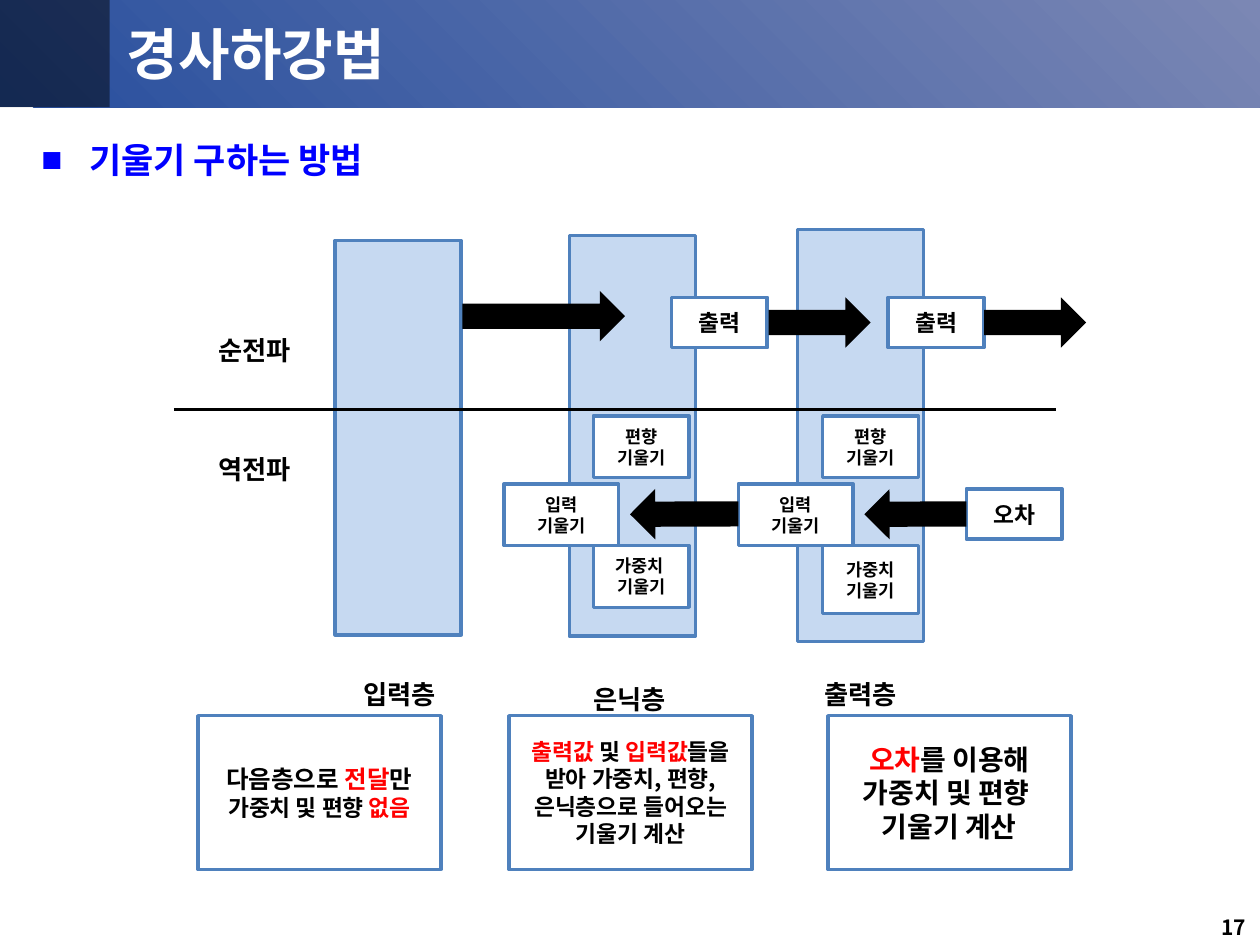
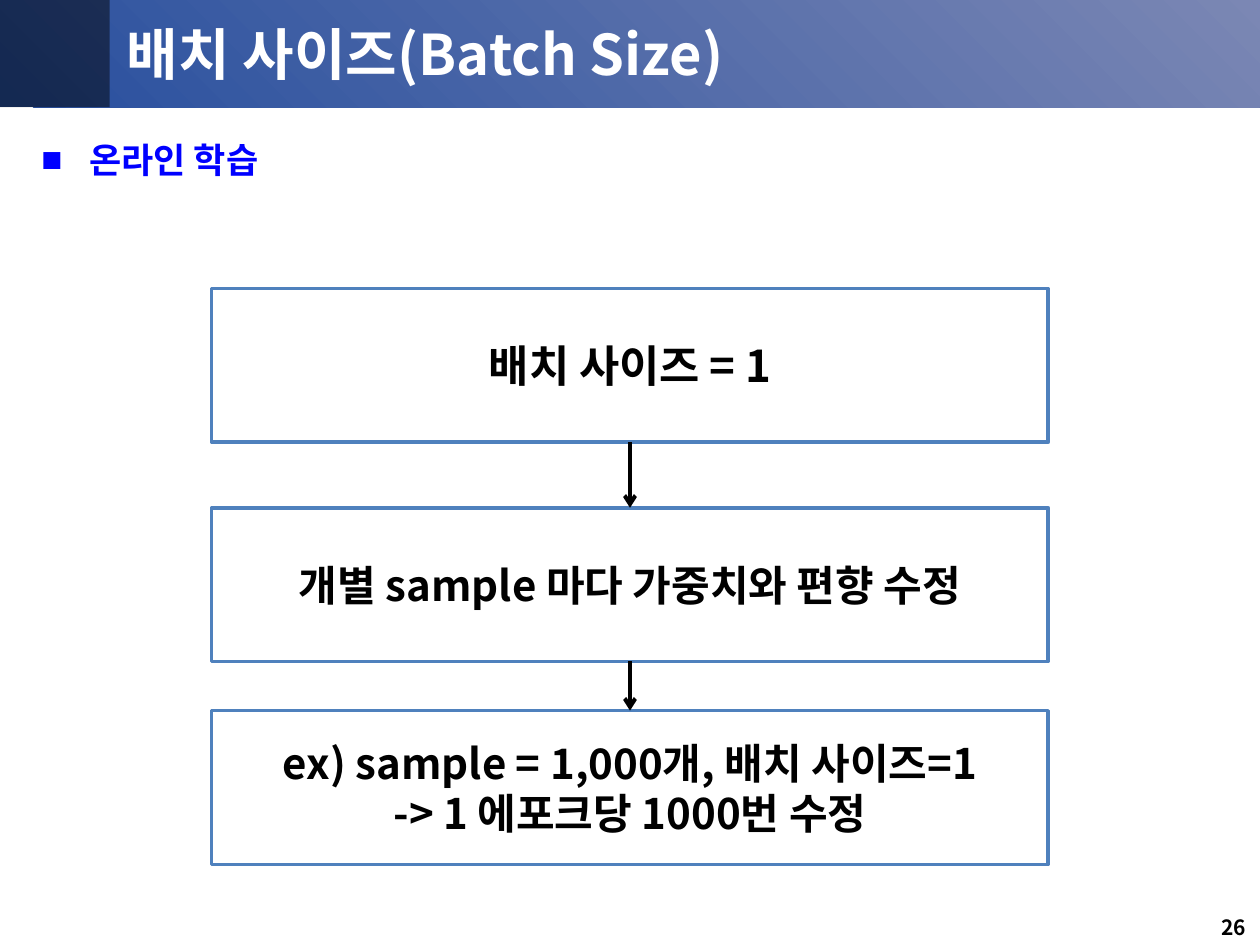
from lxml.etree import SubElement
from pptx import Presentation
from pptx.dml.color import RGBColor
from pptx.enum.shapes import MSO_CONNECTOR, MSO_SHAPE
from pptx.enum.text import MSO_ANCHOR, PP_ALIGN
from pptx.oxml.ns import qn
from pptx.util import Inches, Pt

FONT = "Noto Sans CJK KR"
BLACK, WHITE, RED, BLUE = "000000", "FFFFFF", "FF0000", "0000FF"
EDGE, PALE = "4F81BD", "C6D9F1"

deck = Presentation()
deck.slide_width, deck.slide_height = Inches(10), Inches(7.5)
# Grid: 100 columns by 75 rows
COL, ROW = deck.slide_width / 100, deck.slide_height / 75


def tint(part, tone):
    """Give a fill or a line's fill a solid colour."""
    part.solid()
    part.fore_color.rgb = RGBColor.from_string(tone)


def put(slide, text, box, kind=MSO_SHAPE.RECTANGLE, fill=None, edge=None,
        size=13, tone=BLACK, align=PP_ALIGN.CENTER, anchor=MSO_ANCHOR.MIDDLE):
    """Add a shape, or a text box if there is no fill; *stars* mark red words.

    size is one number, or a list with one per paragraph.
    """
    x, y, w, h = box
    place = [int(n) for n in (x * COL, y * ROW, w * COL, h * ROW)]
    if fill:
        shape = slide.shapes.add_shape(kind, *place)
        shape.shadow.inherit = False
        tint(shape.fill, fill)
        if edge:
            tint(shape.line.fill, edge)
            shape.line.width = Pt(2)
        else:
            shape.line.fill.background()
    else:
        shape = slide.shapes.add_textbox(*place)
    if not text:
        return shape
    frame = shape.text_frame
    frame.word_wrap = True
    frame.vertical_anchor = anchor
    rows = text.split("\n")
    sizes = size if isinstance(size, list) else [size] * len(rows)
    for i, (row, pts) in enumerate(zip(rows, sizes)):
        para = frame.add_paragraph() if i else frame.paragraphs[0]
        para.alignment = align
        for j, word in enumerate(row.split("*")):
            if not word:
                continue
            run = para.add_run()
            run.text = word
            font = run.font
            font.name, font.size, font.bold = FONT, Pt(pts), True
            tint(font.fill, RED if j % 2 else tone)
            SubElement(run._r.get_or_add_rPr(), qn("a:ea"), typeface=FONT)
    return shape


# Shared frame: bands, title, heading, page number
pages = []
for title, head, page in (
    ("경사하강법", "기울기 구하는 방법", "17"),
    ("배치 사이즈(Batch Size)", "온라인 학습", "26"),
):
    slide = deck.slides.add_slide(deck.slide_layouts[6])
    pages.append(slide)
    band = put(slide, "", (0, -0.1, 100, 8.6), fill=BLACK)
    band.fill.gradient()
    band.fill.gradient_angle = 45
    for stop, tone in zip(band.fill.gradient_stops, ("284F9E", "7B87B4")):
        stop.color.rgb = RGBColor.from_string(tone)
    block = put(slide, "", (0, -0.1, 8.7, 8.6), fill=BLACK)
    shade = block._element.spPr.find(".//" + qn("a:srgbClr"))
    SubElement(shade, qn("a:alpha"), val="48000")

    put(slide, title, (9.1, 1.4, 88.3, 5.6), size=32, tone=WHITE,
        align=PP_ALIGN.LEFT)
    body = put(slide, head, (2.3, 10.5, 94.1, 59.4), size=20, tone=BLUE,
               align=PP_ALIGN.LEFT, anchor=MSO_ANCHOR.TOP)
    props = body.text_frame.paragraphs[0]._p.get_or_add_pPr()
    props.set("marL", str(Inches(0.38)))
    props.set("indent", str(-Inches(0.38)))
    SubElement(props, qn("a:buFont"), typeface="Arial")
    SubElement(props, qn("a:buChar"), char="■")
    put(slide, page, (76.6, 72.1, 23.3, 2.9), size=12, align=PP_ALIGN.RIGHT)

flow, batch = pages
card = {"fill": WHITE, "edge": EDGE}
links = []

# Layer columns and the line between the two passes
for x, y, h in ((26.6, 19.1, 31.3), (45.2, 18.7, 31.8), (63.3, 18.2, 32.7)):
    put(flow, "", (x, y, 10, h), fill=PALE, edge=EDGE)
line = flow.shapes.add_connector(
    MSO_CONNECTOR.STRAIGHT, int(13.8 * COL), int(32.5 * ROW),
    int(83.8 * COL), int(32.5 * ROW))
links.append((line, False))

# Values and gradients on the layers
for text, x, y in (("출력", 53.3, 23.6), ("오차", 76.7, 38.8),
                   ("출력", 70.5, 23.6)):
    put(flow, text, (x, y, 7.6, 4), **card)
for x in (40, 58.6):
    put(flow, "입력\n기울기", (x, 38.4, 9.1, 4.9), size=10, **card)
for x, name, h in ((47.1, "가중치 ", 4.9), (65.3, "가중치", 5.4)):
    put(flow, "편향\n기울기", (x, 33, 7.6, 4.9), size=10, **card)
    put(flow, name + "\n기울기", (x, 43.3, 7.6, h), size=10, **card)

# Block arrows: forward above, backward below
for x, y, w, turn in ((36.7, 23.1, 12.9, 0), (61, 23.6, 8.1, 0),
                      (78.1, 23.6, 8.1, 0), (68.6, 38.8, 8.1, 179.8),
                      (50, 38.8, 8.6, 179.8)):
    arrow = put(flow, "", (x, y, w, 4), kind=MSO_SHAPE.RIGHT_ARROW, fill=BLACK)
    arrow.rotation = turn

# Pass names and layer names
for text, y in (("순전파", 24.9), ("역전파", 34.3)):
    put(flow, text, (14.7, y, 11, 5.8), size=15)
for text, x, y in (("입력층", 26.8, 52.5), ("은닉층", 45.1, 52.9),
                   ("출력층", 63.4, 52.5)):
    put(flow, text, (x, y, 9.8, 5.1), size=15)

# What each layer does
for x, size, text in (
    (15.7, [14, 13], "다음층으로 *전달*만\n가중치 및 편향 *없음*"),
    (40.4, 13, "*출력값* 및 *입력값*들을 받아 가중치, 편향, "
               "은닉층으로 들어오는 기울기 계산"),
    (65.7, 16, "*오차*를 이용해 가중치 및 편향 \n기울기 계산"),
):
    put(flow, text, (x, 56.8, 19.3, 12.2), size=size, **card)

# Online learning steps, joined from top to bottom
steps = [
    put(batch, text, (16.8, y, 66.4, 12.2), size=size, **card)
    for y, size, text in (
        (22.9, 25, "배치 사이즈 = 1"),
        (40.3, 24, "개별 sample 마다 가중치와 편향 수정"),
        (56.4, 24, "ex) sample = 1,000개, 배치 사이즈=1\n"
                   "-> 1 에포크당 1000번 수정"),
    )
]
for top, low in zip(steps, steps[1:]):
    line = batch.shapes.add_connector(MSO_CONNECTOR.STRAIGHT, 0, 0, 0, 0)
    line.begin_connect(top, 2)
    line.end_connect(low, 0)
    links.append((line, True))

# Line style
for line, tip in links:
    tint(line.line.fill, BLACK)
    line.line.width = Pt(2.25)
    if tip:
        SubElement(line.line._get_or_add_ln(), qn("a:tailEnd"), type="arrow")
    SubElement(line._element.spPr, qn("a:effectLst"))

deck.save("out.pptx")
